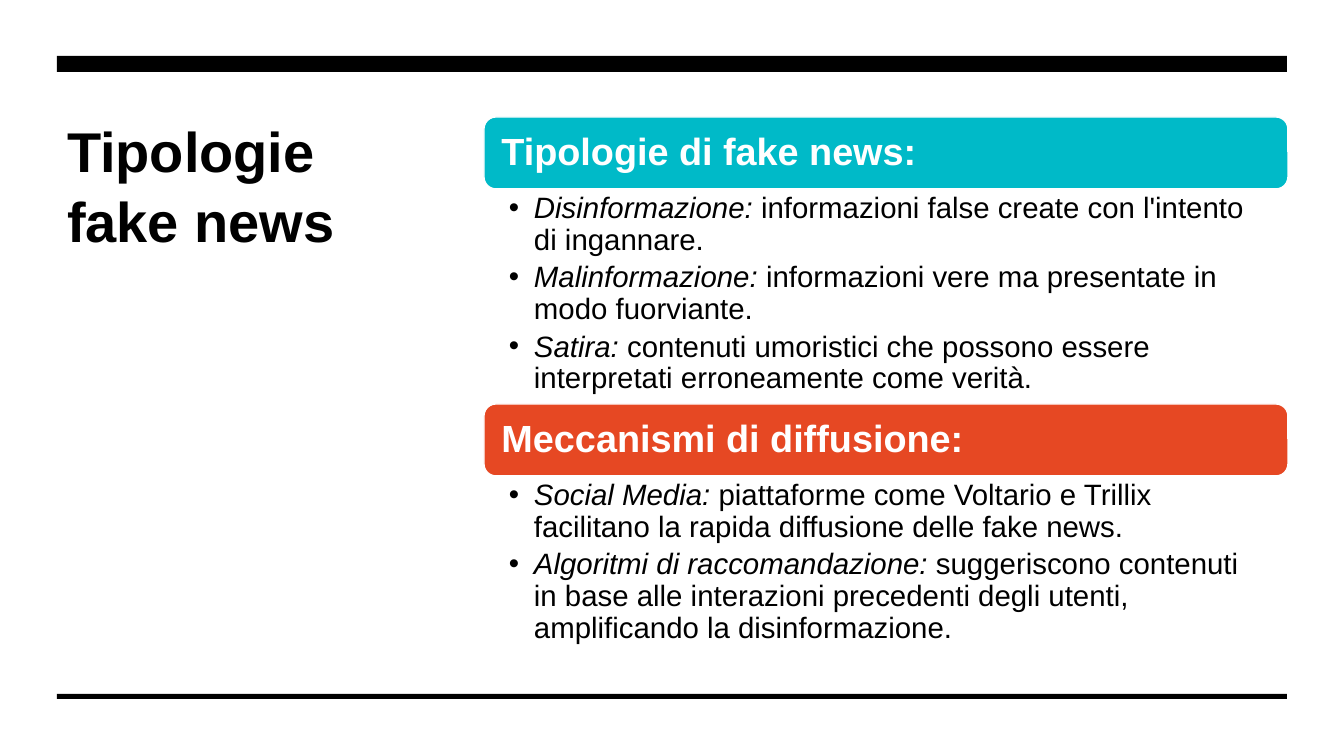
from pptx import Presentation
from pptx.dml.color import RGBColor
from pptx.enum.shapes import MSO_SHAPE as Shape
from pptx.enum.text import MSO_ANCHOR as Anchor, MSO_AUTO_SIZE as Auto, PP_ALIGN as Align
from pptx.util import Emu, Pt

BLACK = RGBColor(0x00, 0x00, 0x00)
WHITE = RGBColor(0xFF, 0xFF, 0xFF)
TEAL = RGBColor(0x00, 0xBA, 0xC8)
RED = RGBColor(0xE6, 0x48, 0x23)

HEAD = dict(size=Pt(27), bold=True)
ITEM = dict(size=Pt(21), bold=False)
LEFT, WIDTH, HEAD_H = 484, 804, 72

# header, colour, top, list height, items
PARTS = [
    ("Tipologie di fake news:", TEAL, 117, 216, [
        ("Disinformazione:", "informazioni false create con l'intento di ingannare."),
        ("Malinformazione:", "informazioni vere ma presentate in modo fuorviante."),
        ("Satira:", "contenuti umoristici che possono essere interpretati "
                    "erroneamente come verità."),
    ]),
    ("Meccanismi di diffusione:", RED, 404, 175, [
        ("Social Media:", "piattaforme come Voltario e Trillix facilitano la rapida "
                          "diffusione delle fake news."),
        ("Algoritmi di raccomandazione:", "suggeriscono contenuti in base alle interazioni "
                                          "precedenti degli utenti, amplificando la "
                                          "disinformazione."),
    ]),
]


def px(n):
    return Emu(round(n * 914400 / 100.8))


def style(obj, **vals):
    """Set attributes of a font, frame, shape or paragraph; a colour goes to a font."""
    for key, val in vals.items():
        if key == "color":
            obj.color.rgb = val
        else:
            setattr(obj, key, val)


prs = Presentation()
style(prs, slide_width=px(1344), slide_height=px(756))
slide = prs.slides.add_slide(prs.slide_layouts[3])
title, *lists = slide.placeholders

style(title, left=px(57), top=px(108), width=px(348), height=px(449))
title.text = "Tipologie fake news"
style(title.text_frame, vertical_anchor=Anchor.TOP, word_wrap=True, auto_size=Auto.NONE)
para = title.text_frame.paragraphs[0]
style(para, alignment=Align.LEFT, line_spacing=1.05)
style(para.font, name="Arial", size=Pt(40), bold=True, color=BLACK)

for top, high in (56, 16), (694, 5):
    rule = slide.shapes.add_shape(Shape.RECTANGLE, px(57), px(top), px(1230), px(high))
    rule.shadow.inherit = False
    rule.fill.solid()
    rule.fill.fore_color.rgb = BLACK
    rule.line.fill.background()

for body, (name, color, top, high, items) in zip(lists, PARTS):
    head = slide.shapes.add_shape(Shape.ROUNDED_RECTANGLE, px(LEFT), px(top),
                                  px(WIDTH), px(HEAD_H))
    head.shadow.inherit = False
    head.fill.solid()
    head.fill.fore_color.rgb = color
    head.line.color.rgb = WHITE
    head.line.width = Pt(1)
    style(head.text_frame, margin_left=px(14), vertical_anchor=Anchor.MIDDLE, word_wrap=True)
    para = head.text_frame.paragraphs[0]
    para.text = name
    style(para, alignment=Align.LEFT, line_spacing=0.9)
    style(para.font, name="Arial", color=WHITE, **HEAD)

    style(body, left=px(LEFT), top=px(top + HEAD_H), width=px(WIDTH), height=px(high))
    frame = body.text_frame
    style(frame, margin_left=px(25), margin_right=px(21), margin_top=px(4),
          margin_bottom=px(4), vertical_anchor=Anchor.TOP, word_wrap=True,
          auto_size=Auto.NONE)
    for i, (term, text) in enumerate(items):
        para = frame.add_paragraph() if i else frame.paragraphs[0]
        style(para, alignment=Align.LEFT, line_spacing=0.9,
              space_before=Pt(0), space_after=Pt(4.2))
        props = para._p.get_or_add_pPr()
        props.set("marL", str(px(25)))
        props.set("indent", str(px(-25)))
        for words, slant in (term, True), (" " + text, False):
            run = para.add_run()
            run.text = words
            style(run.font, name="Arial", italic=slant, color=BLACK, **ITEM)

prs.save("out.pptx")
